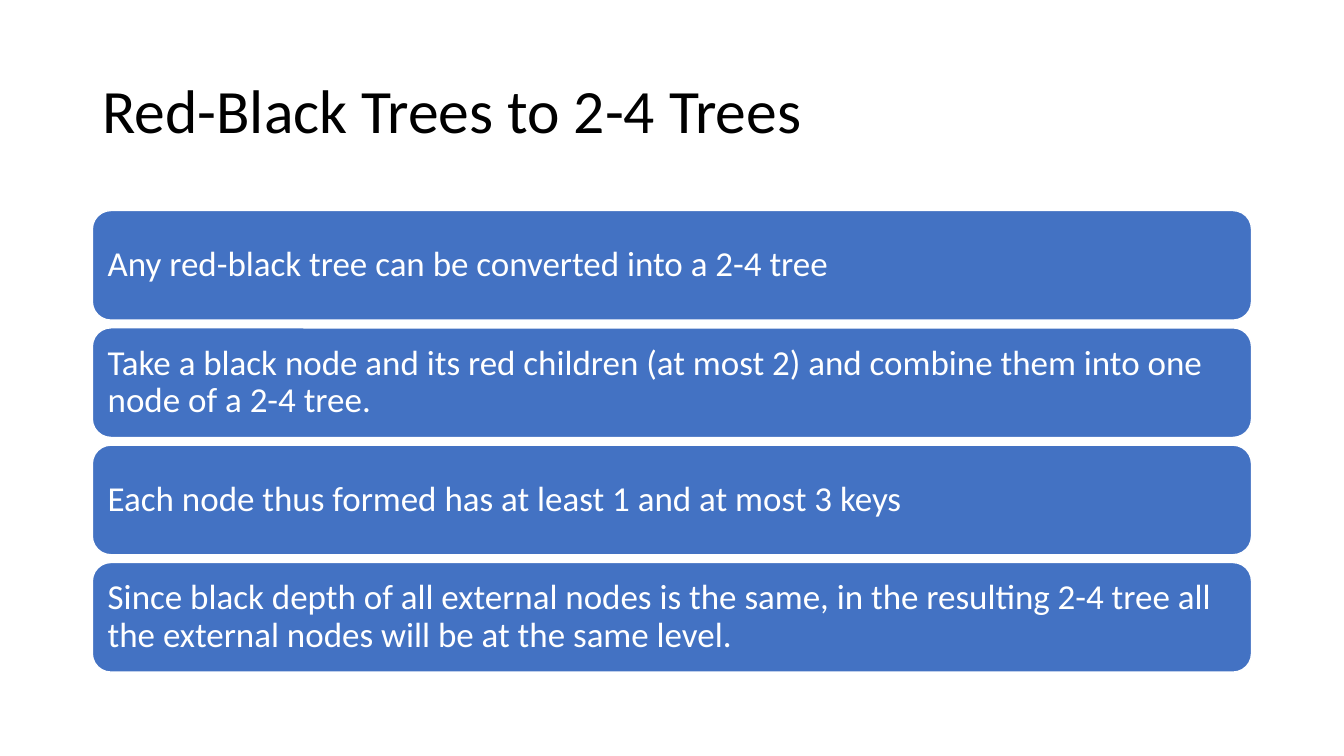
from dataclasses import dataclass

from pptx import Presentation
from pptx.dml.color import RGBColor
from pptx.enum import shapes, text
from pptx.shapes.autoshape import Shape
from pptx.slide import Slide
from pptx.util import Pt

COLOURS = {"title": "000000", "bar": "4372C3", "bar_text": "FFFFFF", "outline": "FFFFFF"}
FONT = "Calibri"
LEFT, WIDTH = 66, 828
BAR_TOP, BAR_HEIGHT, BAR_PITCH = 150.4, 78.3, 83.8


@dataclass(frozen=True)
class Statement:
    row: int
    wording: str

    @property
    def top(self) -> float:
        return BAR_TOP + self.row * BAR_PITCH


STATEMENTS = [
    Statement(0, "Any red-black tree can be converted into a 2-4 tree"),
    Statement(1, "Take a black node and its red children (at most 2) and combine them "
                 "into one node of a 2-4 tree."),
    Statement(2, "Each node thus formed has at least 1 and at most 3 keys"),
    Statement(3, "Since black depth of all external nodes is the same, in the resulting "
                 "2-4 tree all the external nodes will be at the same level."),
]


def colour(name: str) -> RGBColor:
    return RGBColor.from_string(COLOURS[name])


def write_text(shape: Shape, wording: str, size: float, colour_name: str, inset: float) -> None:
    frame = shape.text_frame
    frame.word_wrap = True
    frame.vertical_anchor = text.MSO_ANCHOR.MIDDLE
    frame.margin_left = frame.margin_right = Pt(7.2)
    frame.margin_top = frame.margin_bottom = Pt(inset)
    paragraph = frame.paragraphs[0]
    paragraph.text = wording
    paragraph.alignment = text.PP_ALIGN.LEFT
    paragraph.line_spacing = 0.9
    paragraph.font.name = FONT
    paragraph.font.size = Pt(size)
    paragraph.font.color.rgb = colour(colour_name)


def draw_title(slide: Slide, wording: str) -> None:
    title = slide.shapes.add_textbox(Pt(LEFT), Pt(28.8), Pt(WIDTH), Pt(104.4))
    write_text(title, wording, 44, "title", 3.6)


def draw_statement(slide: Slide, statement: Statement) -> None:
    bar = slide.shapes.add_shape(
        shapes.MSO_SHAPE.ROUNDED_RECTANGLE,
        Pt(LEFT), Pt(statement.top), Pt(WIDTH), Pt(BAR_HEIGHT),
    )
    bar.adjustments[0] = 0.17
    bar.shadow.inherit = False
    bar.fill.solid()
    bar.fill.fore_color.rgb = colour("bar")
    bar.line.color.rgb = colour("outline")
    bar.line.width = Pt(1)
    write_text(bar, statement.wording, 25, "bar_text", 7.2)


def main() -> None:
    presentation = Presentation()
    presentation.slide_width = Pt(960)
    presentation.slide_height = Pt(540)
    slide = presentation.slides.add_slide(presentation.slide_layouts[6])
    draw_title(slide, "Red-Black Trees to 2-4 Trees")
    for statement in STATEMENTS:
        draw_statement(slide, statement)
    presentation.save("out.pptx")


if __name__ == "__main__":
    main()
